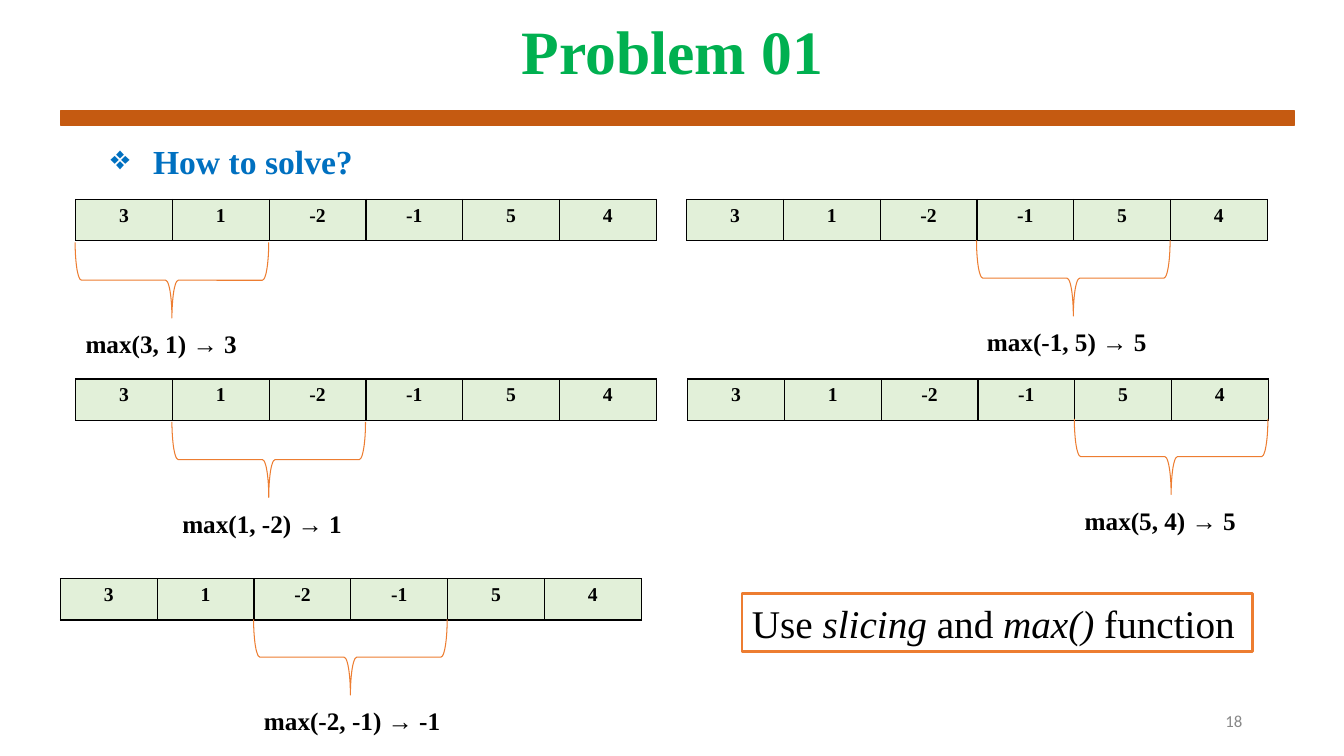
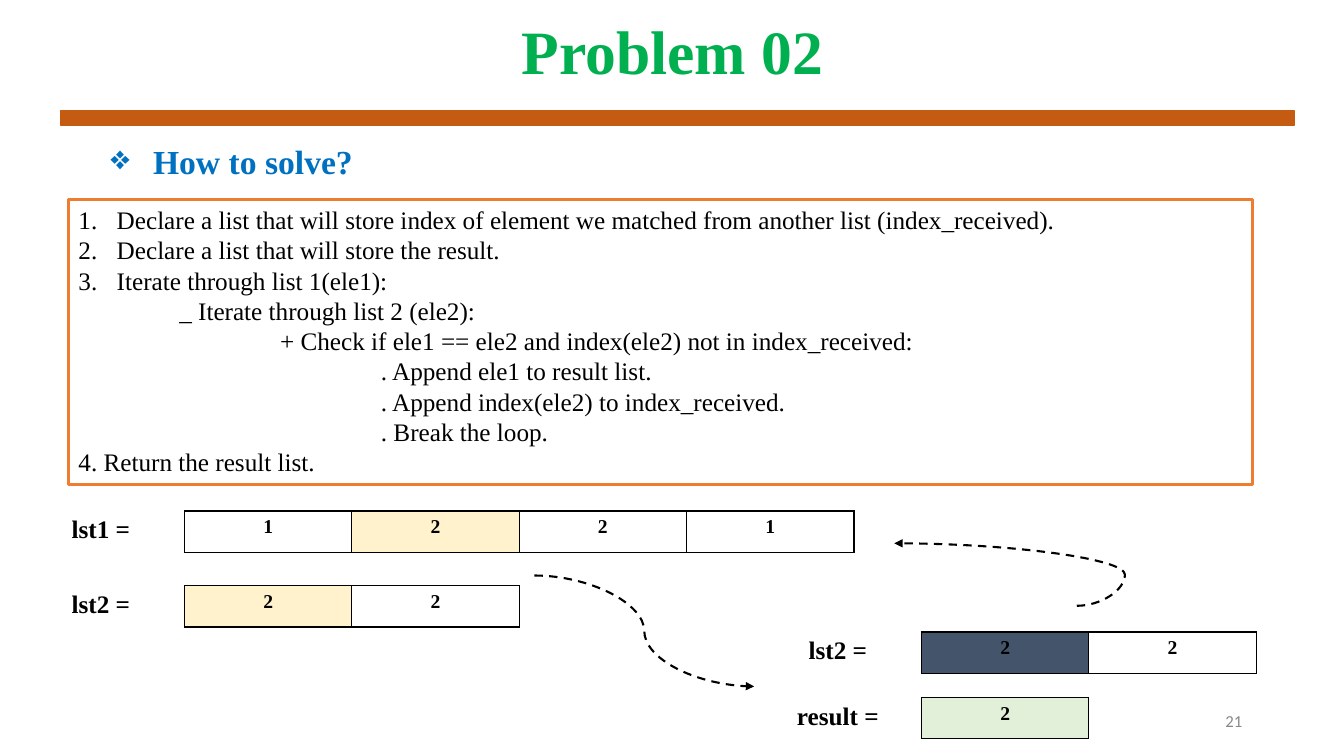
from lxml.etree import SubElement
from pptx import Presentation
from pptx.dml.color import RGBColor
from pptx.enum.dml import MSO_LINE
from pptx.enum.shapes import MSO_CONNECTOR, MSO_SHAPE
from pptx.enum.text import MSO_ANCHOR, MSO_AUTO_SIZE, PP_ALIGN
from pptx.oxml.ns import qn
from pptx.util import Emu, Pt

EMU_PER_PX = 9144  # 100 px to the inch

GREEN = RGBColor(0x00, 0xB0, 0x50)
BLUE = RGBColor(0x00, 0x70, 0xC0)
RUST = RGBColor(0xC5, 0x5A, 0x11)
ORANGE = RGBColor(0xED, 0x7D, 0x31)
GRAY = RGBColor(0x88, 0x88, 0x88)
BLACK = RGBColor(0x00, 0x00, 0x00)
WHITE = RGBColor(0xFF, 0xFF, 0xFF)
PALE_GREEN = RGBColor(0xE2, 0xF0, 0xD9)
PALE_YELLOW = RGBColor(0xFF, 0xF2, 0xCC)
SLATE = RGBColor(0x44, 0x54, 0x6A)

SERIF = "Times New Roman"
TITLE = {"name": SERIF, "size": Pt(44), "bold": True}
HEADING = {"name": SERIF, "size": Pt(24), "bold": True}
LABEL = {"name": SERIF, "size": Pt(18), "bold": True}
VALUE = {"name": SERIF, "size": Pt(14), "bold": True}
STEP = {"name": SERIF, "size": Pt(18)}
HINT = {"name": SERIF, "size": Pt(28)}
PAGE = {"name": "Calibri", "size": Pt(12)}

ROW_H = 41
BRACE_W, BRACE_H = 192, 75
NUMBERS = ["3", "1", "-2", "-1", "5", "4"]
NUMBER_W = 96
LIST_W = 166


def px(*lengths):
    return [Emu(length * EMU_PER_PX) for length in lengths]


def format_font(font, style, color=BLACK):
    for name, value in style.items():
        setattr(font, name, value)
    font.color.rgb = color


def add_bullet(paragraph, left, hanging, color, tag, **kind):
    """Give a paragraph a hanging bullet or number."""
    props = paragraph._p.get_or_add_pPr()
    margin, indent = px(left, -hanging)
    props.set("marL", str(margin))
    props.set("indent", str(indent))
    bullet_color = SubElement(props, qn("a:buClr"))
    SubElement(bullet_color, qn("a:srgbClr"), val=str(color))
    SubElement(props, qn(tag), **kind)


def add_text(slide, box, text, style, color=BLACK):
    frame = slide.shapes.add_textbox(*px(*box)).text_frame
    frame.word_wrap = True
    paragraph = frame.paragraphs[0]
    paragraph.text = text
    format_font(paragraph.font, style, color)
    return frame


def add_block(slide, box, fill, line, width):
    block = slide.shapes.add_shape(MSO_SHAPE.RECTANGLE, *px(*box))
    block.shadow.inherit = False
    if fill is None:
        block.fill.background()
    else:
        block.fill.solid()
        block.fill.fore_color.rgb = fill
    block.line.color.rgb = line
    block.line.width = Pt(width)
    return block


def add_problem_slide(deck, title, page):
    """Title, rule, page number and heading shared by the slides."""
    slide = deck.slides.add_slide(deck.slide_layouts[5])
    heading = slide.shapes.title
    heading.left, heading.top, heading.width, heading.height = px(92, 0, 1150, 109)
    heading.text = title
    frame = heading.text_frame
    frame.auto_size = MSO_AUTO_SIZE.NONE
    frame.vertical_anchor = MSO_ANCHOR.MIDDLE
    paragraph = frame.paragraphs[0]
    paragraph.alignment = PP_ALIGN.CENTER
    paragraph.line_spacing = 0.9
    format_font(paragraph.font, TITLE, GREEN)

    add_block(slide, (60, 110, 1224, 14), RUST, RUST, 1)

    number = add_text(slide, (942, 695, 300, 40), page, PAGE, GRAY)
    number.vertical_anchor = MSO_ANCHOR.MIDDLE
    number.paragraphs[0].alignment = PP_ALIGN.RIGHT

    question = add_text(slide, (92, 139, 1167, 79), "", HEADING, BLUE).paragraphs[0]
    question.text = "How to solve?"
    question.line_spacing = 0.9
    # Bullet elements go in before the paragraph's default run properties
    props = question._p.get_or_add_pPr()
    for default in props.findall(qn("a:defRPr")):
        props.remove(default)
    add_bullet(question, 50, 42, BLUE, "a:buChar", char="❖")
    format_font(question.font, HEADING, BLUE)
    return slide


def set_borders(cell, visible):
    """Black lines on the visible sides (L, R, T, B), none on the others."""
    props = cell._tc.get_or_add_tcPr()
    for index, side in enumerate("LRTB"):
        line = SubElement(props, qn(f"a:ln{side}"), w=str(Pt(1)))
        if side in visible:
            fill = SubElement(line, qn("a:solidFill"))
            SubElement(fill, qn("a:srgbClr"), val=str(BLACK))
        else:
            SubElement(line, qn("a:noFill"))
        props.insert(index, line)


def add_list_row(slide, left, top, cell_w, values, fills, label=None):
    """A list as a one-row table, with an optional label cell in front."""
    texts = values if label is None else [label, *values]
    colors = fills if label is None else [None, *fills]
    count = len(texts)
    table = slide.shapes.add_table(
        1, count, *px(left, top, cell_w * count, ROW_H)).table
    table.first_row = table.horz_banding = False
    for index, (text, color) in enumerate(zip(texts, colors)):
        is_label = label is not None and index == 0
        cell = table.cell(0, index)
        cell.text = text
        if color is None:
            cell.fill.background()
        else:
            cell.fill.solid()
            cell.fill.fore_color.rgb = color
        paragraph = cell.text_frame.paragraphs[0]
        paragraph.alignment = PP_ALIGN.CENTER
        format_font(paragraph.font, LABEL if is_label else VALUE)
        set_borders(cell, "R" if is_label else "LRTB")


def add_max_step(slide, left, top, first, gap, caption, caption_w):
    """The numbers, a brace under the pair that starts at first, its maximum."""
    add_list_row(slide, left, top, NUMBER_W, NUMBERS, [PALE_GREEN] * len(NUMBERS))
    pair_left = left + first * NUMBER_W
    brace_top = top + ROW_H + gap
    # The brace is turned a quarter, so its box is upright about the same centre
    shift = (BRACE_W - BRACE_H) / 2
    brace = slide.shapes.add_shape(
        MSO_SHAPE.RIGHT_BRACE,
        *px(int(pair_left + shift), int(brace_top - shift), BRACE_H, BRACE_W))
    brace.rotation = 90
    brace.shadow.inherit = False
    brace.fill.background()
    brace.line.color.rgb = ORANGE
    brace.line.width = Pt(0.75)
    add_text(slide, (pair_left, brace_top + 80, caption_w, 40),
             caption, LABEL).word_wrap = False


def add_hint(slide, box):
    frame = add_block(slide, box, WHITE, ORANGE, 2).text_frame
    frame.word_wrap = False
    paragraph = frame.paragraphs[0]
    paragraph.alignment = PP_ALIGN.LEFT
    for text, italic in [("Use ", False), ("slicing", True), (" and ", False),
                         ("max() ", True), ("function", False)]:
        run = paragraph.add_run()
        run.text = text
        format_font(run.font, {**HINT, "italic": italic})


def add_algorithm(slide, box, steps):
    """Steps as (depth, text); a depth of None means a numbered step."""
    frame = add_block(slide, box, None, ORANGE, 2).text_frame
    frame.word_wrap = True
    frame.vertical_anchor = MSO_ANCHOR.TOP
    for index, (depth, text) in enumerate(steps):
        paragraph = frame.add_paragraph() if index else frame.paragraphs[0]
        paragraph.text = text
        paragraph.alignment = PP_ALIGN.LEFT
        if depth is None:
            add_bullet(paragraph, 38, 38, BLACK, "a:buAutoNum", type="arabicPeriod")
        else:
            paragraph._p.get_or_add_pPr().set("marL", str(px(depth * 100)[0]))
        format_font(paragraph.font, STEP)


def add_curved_arrow(slide, start, end, bend=50000):
    arrow = slide.shapes.add_connector(MSO_CONNECTOR.CURVE, *px(*start, *end))
    arrow.line.color.rgb = BLACK
    arrow.line.width = Pt(1.5)
    arrow.line.dash_style = MSO_LINE.DASH
    props = arrow._element.spPr
    SubElement(props.find(qn("a:ln")), qn("a:tailEnd"), type="triangle")
    SubElement(props, qn("a:effectLst"))
    guides = props.find(qn("a:prstGeom")).find(qn("a:avLst"))
    SubElement(guides, qn("a:gd"), name="adj1", fmla=f"val {bend}")


def build_problem_01(deck):
    slide = add_problem_slide(deck, "Problem 01", "18")
    for step in [
        (75, 198, 0, 2, "max(3, 1) → 3", 171),
        (75, 376, 1, 2, "max(1, -2) → 1", 180),
        (60, 574, 2, 0, "max(-2, -1) → -1", 196),
        (681, 198, 3, 0, "max(-1, 5) → 5", 180),
        (682, 376, 4, -1, "max(5, 4) → 5", 171),
    ]:
        add_max_step(slide, *step)
    add_hint(slide, (736, 589, 506, 57))


def build_problem_02(deck):
    slide = add_problem_slide(deck, "Problem 02", "21")
    add_algorithm(slide, (68, 198, 1174, 283), [
        (None, "Declare a list that will store index of element we matched "
               "from another list (index_received)."),
        (None, "Declare a list that will store the result."),
        (None, "Iterate through list 1(ele1):"),
        (1, "_ Iterate through list 2 (ele2):"),
        (2, "+ Check if ele1 == ele2 and index(ele2) not in index_received:"),
        (3, ". Append ele1 to result list."),
        (3, ". Append index(ele2) to index_received."),
        (3, ". Break the loop."),
        (0, "4. Return the result list."),
    ])
    # Lists before and after the match
    for left, top, label, values, fills in [
        (17, 507, "lst1 =", ["1", "2", "2", "1"], [None, PALE_YELLOW, None, None]),
        (17, 581, "lst2 =", ["2", "2"], [PALE_YELLOW, None]),
        (748, 627, "lst2 =", ["2", "2"], [SLATE, None]),
        (748, 692, "result =", ["2"], [PALE_GREEN]),
    ]:
        add_list_row(slide, left, top, LIST_W, values, fills, label)
    # Flow to the result and back to the first list
    add_curved_arrow(slide, (530, 571), (748, 681))
    add_curved_arrow(slide, (1068, 601), (887, 539), bend=-26400)


def main():
    deck = Presentation()
    deck.slide_width, deck.slide_height = px(1333, 750)
    build_problem_01(deck)
    build_problem_02(deck)
    deck.save("out.pptx")


if __name__ == "__main__":
    main()
